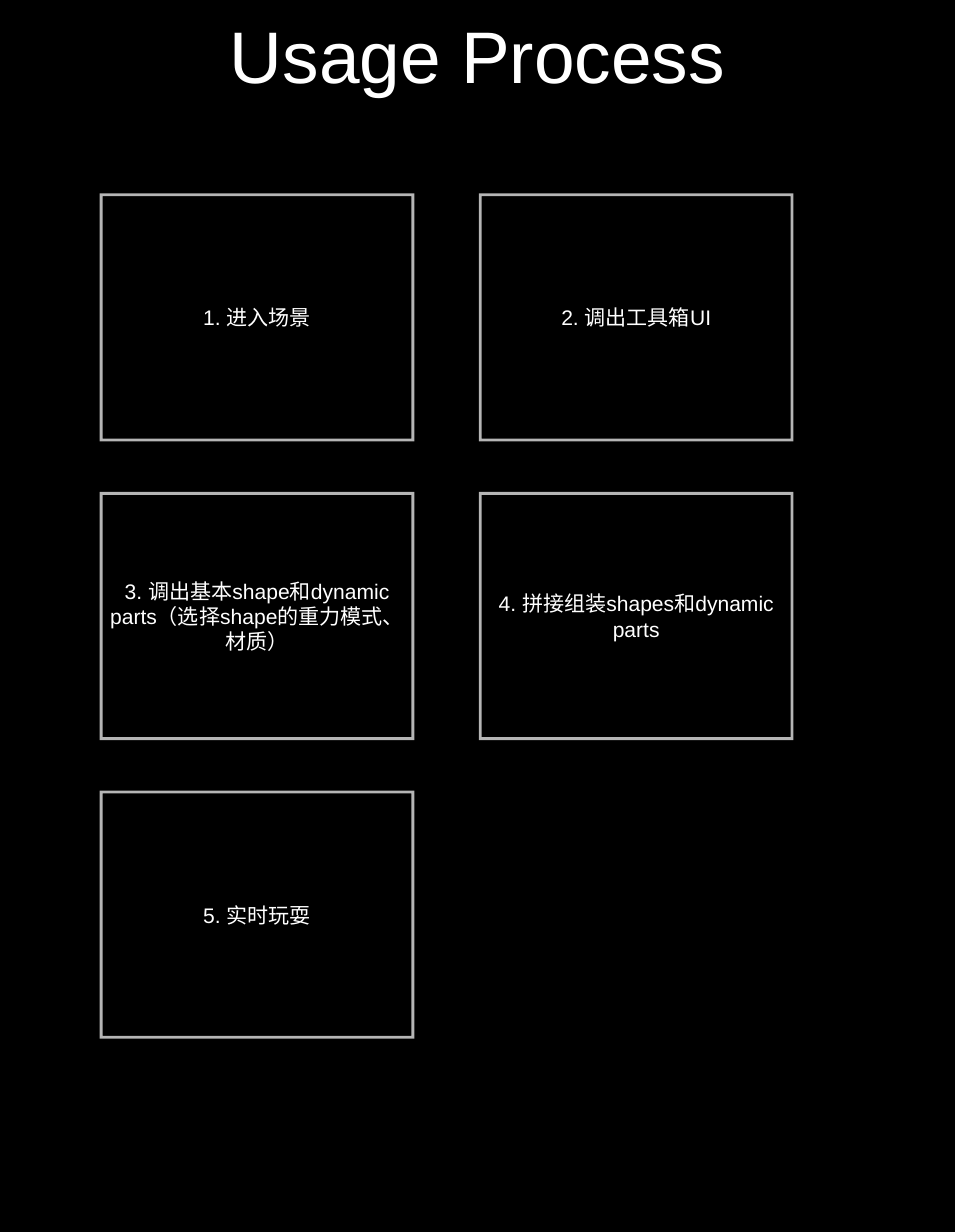
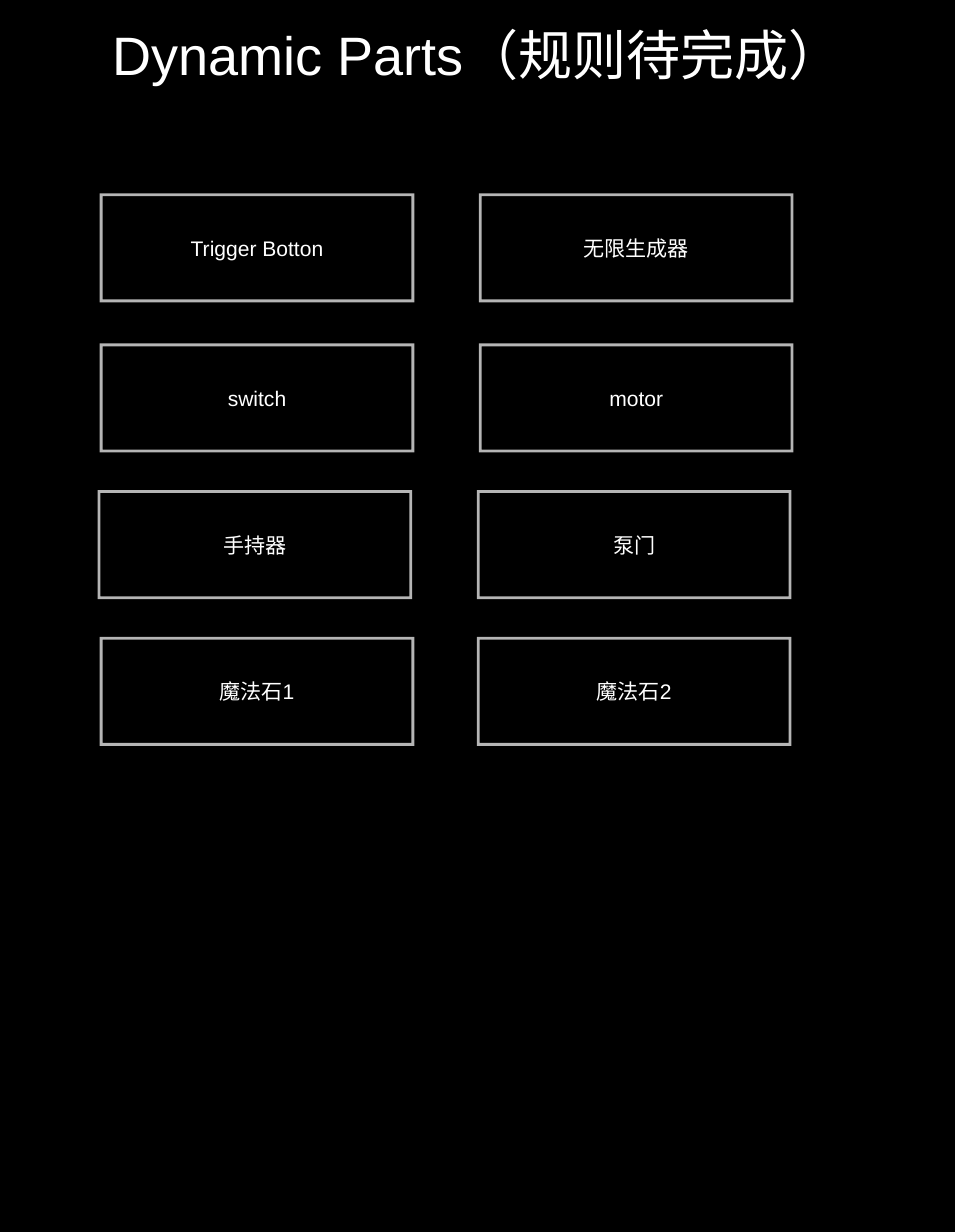
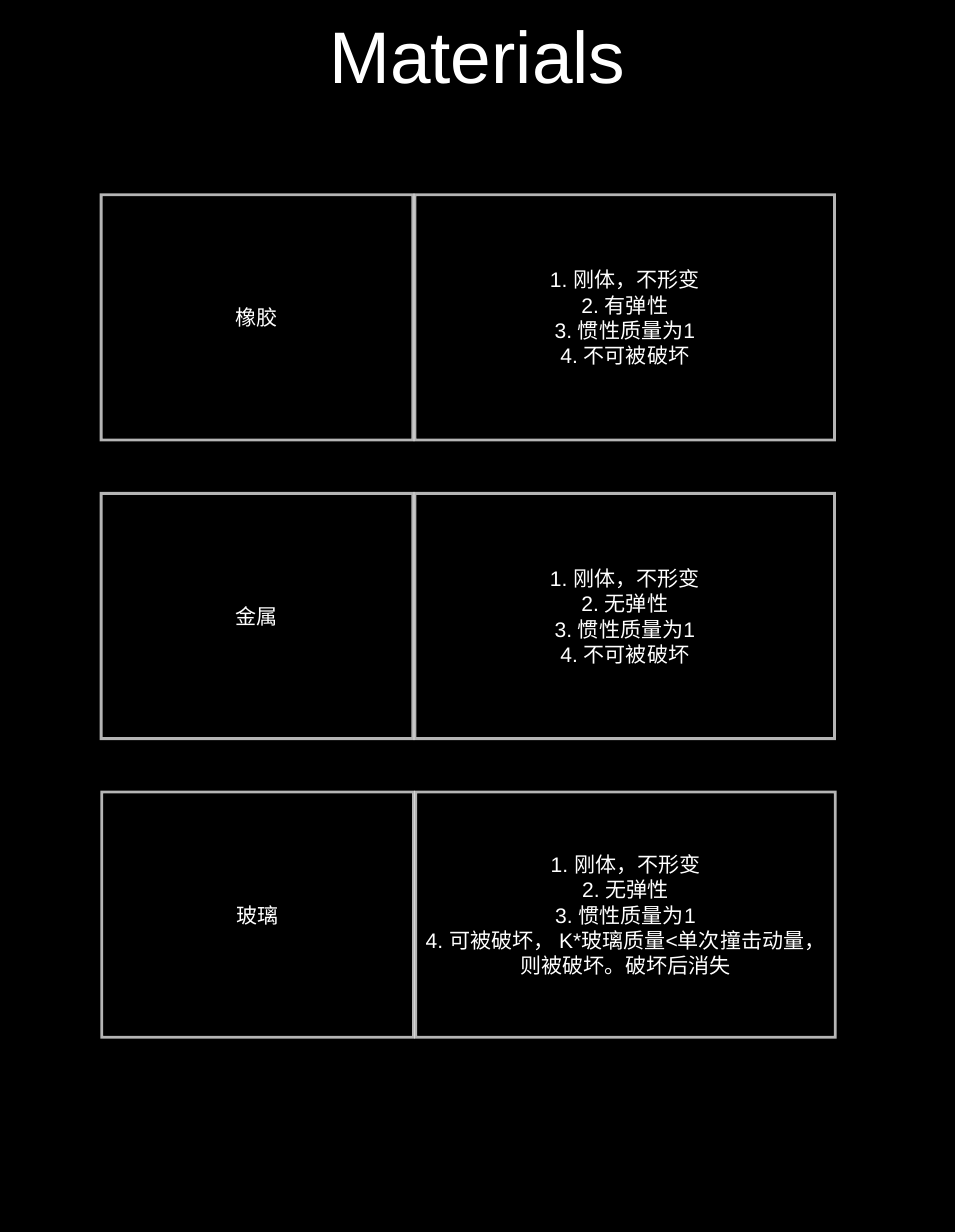
from itertools import product

from lxml.etree import SubElement
from pptx import Presentation
from pptx.dml.color import RGBColor
from pptx.enum.shapes import MSO_SHAPE
from pptx.enum.text import MSO_ANCHOR, PP_ALIGN
from pptx.oxml.ns import qn
from pptx.util import Pt

BLACK = RGBColor(0, 0, 0)
WHITE = RGBColor(255, 255, 255)
FONT = "Arial"

LEFT, TOP = 144, 277.2
RIGHT = 684
WIDE, TALL, LOW = 444, 349.2, 151.2
STEP = 425.2
NUDGE = 2.9

STEPS = [
    "1. 进入场景",
    "2. 调出工具箱UI",
    "3. 调出基本shape和dynamic parts（选择shape的重力模式、材质）",
    "4. 拼接组装shapes和dynamic parts",
    "5. 实时玩耍",
]

# Top of each row, left edges of its two boxes, and their labels
PARTS = [
    (TOP, (LEFT, RIGHT), ("Trigger Botton", "无限生成器")),
    (491, (LEFT, RIGHT), ("switch", "motor")),
    (699.8, (LEFT - NUDGE, RIGHT - NUDGE), ("手持器", "泵门")),
    (908.6, (LEFT, RIGHT - NUDGE), ("魔法石1", "魔法石2")),
]

RIGID, MASS = "1. 刚体，不形变", "3. 惯性质量为1"
SOLID = "4. 不可被破坏"
BREAKS = "4. 可被破坏， K*玻璃质量<单次撞击动量，则被破坏。破坏后消失"

# Name, shift to the right, and traits
STUFF = [
    ("橡胶", 0, (RIGID, "2. 有弹性", MASS, SOLID)),
    ("金属", 0, (RIGID, "2. 无弹性", MASS, SOLID)),
    ("玻璃", 1, (RIGID, "2. 无弹性", MASS, BREAKS)),
]


def write(shape, lines, size):
    """Fill a shape with centred white lines, punctuation kept inside."""
    frame = shape.text_frame
    frame.word_wrap = True
    frame.vertical_anchor = MSO_ANCHOR.MIDDLE
    frame.margin_left = frame.margin_right = 0
    frame.margin_top = frame.margin_bottom = 0
    for i, line in enumerate(lines):
        para = frame.add_paragraph() if i else frame.paragraphs[0]
        para.alignment = PP_ALIGN.CENTER
        para._p.get_or_add_pPr().set("hangingPunct", "0")
        run = para.add_run()
        run.text = line
        run.font.name = FONT
        run.font.size = Pt(size)
        run.font.color.rgb = WHITE


def add_page(deck, title, size=104):
    slide = deck.slides.add_slide(deck.slide_layouts[6])
    box = slide.shapes.add_textbox(Pt(120), Pt(-0.7), Pt(1120), Pt(154.8))
    write(box, [title], size)
    return slide


def add_box(slide, x, y, w, h, *lines):
    box = slide.shapes.add_shape(
        MSO_SHAPE.RECTANGLE, Pt(x), Pt(y), Pt(w), Pt(h))
    box.shadow.inherit = False
    box.fill.background()
    box.line.width = Pt(4)
    box.line.color.rgb = WHITE
    edge = box.line._get_or_add_ln()
    tint = edge.find(".//" + qn("a:srgbClr"))
    SubElement(tint, qn("a:alpha"), val="71000")
    SubElement(edge, qn("a:miter"), lim="400000")
    write(box, lines, 30)


def add_steps(deck):
    slide = add_page(deck, "Usage Process")
    for (row, x), step in zip(product(range(3), (LEFT, RIGHT)), STEPS):
        add_box(slide, x, TOP + row * STEP, WIDE, TALL, step)


def add_parts(deck):
    slide = add_page(deck, "Dynamic Parts（规则待完成）", 77)
    for y, edges, names in PARTS:
        for x, name in zip(edges, names):
            add_box(slide, x, y, WIDE, LOW, name)


def add_stuff(deck):
    slide = add_page(deck, "Materials")
    for row, (name, shift, traits) in enumerate(STUFF):
        y = TOP + row * STEP
        add_box(slide, LEFT + shift, y, WIDE, TALL, name)
        add_box(slide, 591 + shift, y, 597.6, TALL, *traits)


def main():
    deck = Presentation()
    deck.slide_width, deck.slide_height = Pt(1360), Pt(1754)
    back = deck.slide_master.background.fill
    back.solid()
    back.fore_color.rgb = BLACK
    add_steps(deck)
    add_parts(deck)
    add_stuff(deck)
    deck.save("out.pptx")


if __name__ == "__main__":
    main()
